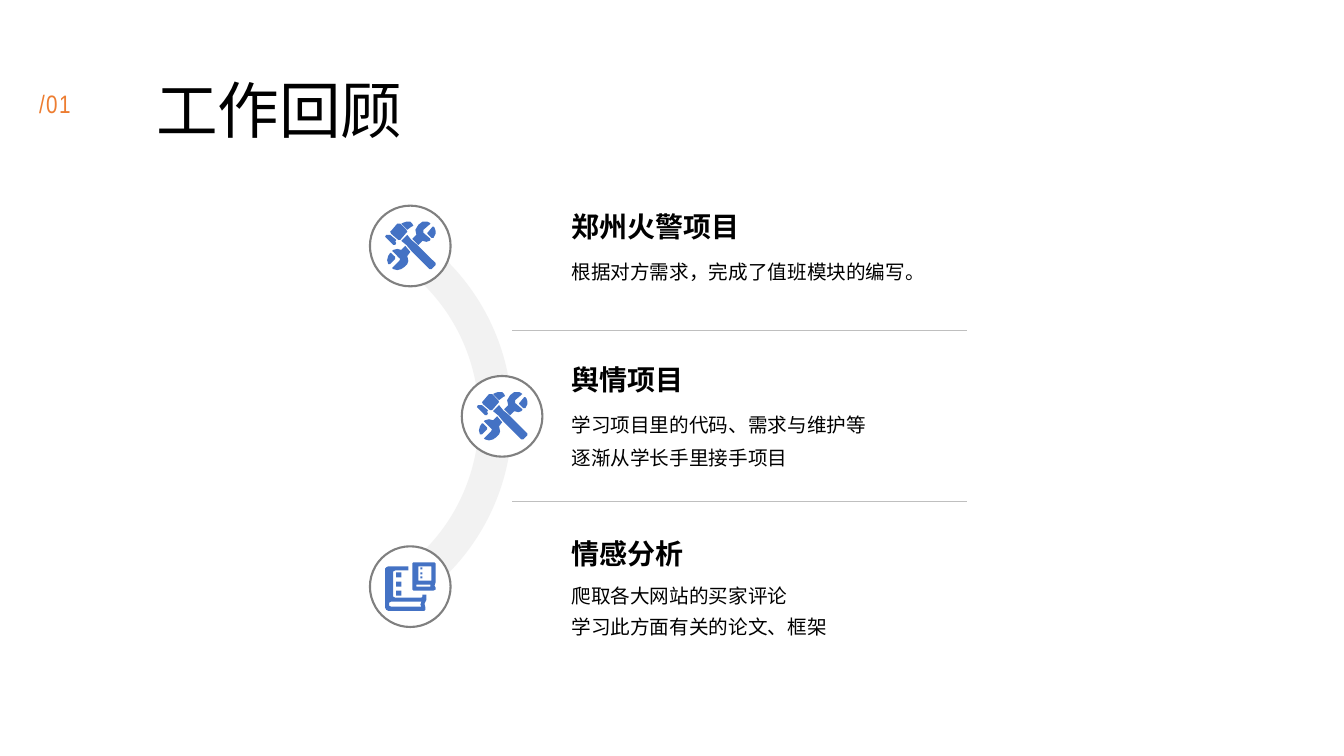
from lxml import etree
from pptx import Presentation
from pptx.dml.color import RGBColor
from pptx.enum.shapes import MSO_CONNECTOR, MSO_SHAPE
from pptx.enum.text import MSO_ANCHOR, MSO_AUTO_SIZE
from pptx.oxml.ns import qn
from pptx.util import Inches, Pt

OVAL, ARC = MSO_SHAPE.OVAL, MSO_SHAPE.BLOCK_ARC
STRAIGHT = MSO_CONNECTOR.STRAIGHT
TOP, MIDDLE = MSO_ANCHOR.TOP, MSO_ANCHOR.MIDDLE
FIT_SHAPE = MSO_AUTO_SIZE.SHAPE_TO_FIT_TEXT

W, H = Inches(40 / 3), Inches(7.5)
CJK, BODY, NARROW = "Noto Sans CJK SC", "Calibri", "Arial Narrow"
COLORS = {"text": "000000", "accent": "ED7D31", "icon": "4472C4", "arc": "F2F2F2",
          "disc": "FFFFFF", "ring": "808080", "rule": "BFBFBF"}

ROW_TOP, ROW_PITCH = 27.2, 22.53
TEXT_X, TEXT_W = 41.78, 30.38
ICON_UNIT = Inches(0.01)


def box(left, top, right, bottom):
    return [(left, top), (right, top), (right, bottom), (left, bottom)]


TOOLS = [
    [(5, 31), (6, 31), (10, 35), (10.5, 36), (10, 37), (5, 42), (3, 42), (2, 38), (3, 34)],
    [(20, 24), (25, 30), (22, 34), (23, 39), (22, 42), (19, 45), (16, 47), (12, 48),
     (8, 47), (7, 46), (8, 45), (14, 39), (15, 37), (14, 36), (8, 30), (7, 29), (8, 28),
     (12, 27), (16, 28)],
    [(22, 13), (26, 18), (32, 23), (50, 41), (50, 43), (46, 47), (44, 47), (26, 29),
     (21, 23), (16, 19)],
    [(5, 13), (11, 18), (10, 20), (11, 21), (10, 23), (8, 23), (1, 16), (0, 15), (1, 13),
     (3, 13)],
    [(48, 5), (49, 6), (50, 9), (50, 12), (48, 16), (46, 16), (42, 12), (42, 11), (47, 5)],
    [(13, 2), (15, 2), (21, 8), (22, 10), (21, 11), (15, 18), (13, 18), (6, 12), (5, 10),
     (6, 9), (12, 2)],
    [(21, 0), (25, 0), (27, 2), (28, 4), (26, 5), (22, 8), (16, 2), (18, 1)],
    [(42, 0), (44, 1), (45, 2), (38, 8), (38, 11), (45, 17), (45, 18), (44, 19), (41, 20),
     (37, 19), (33, 23), (27, 17), (31, 13), (30, 8), (33, 3), (37, 0)],
]
BOOKS = [
    [(3, 4), (23, 4), (23, 8), (10, 8), (8, 9), (8, 34), (10, 35), (36, 35), (37, 34),
     (37, 32), (41, 32), (41, 37), (40, 39), (39, 41), (40, 45), (40, 47), (39, 48),
     (3, 48), (1, 47), (0, 45), (0, 6), (1, 5)],
    [(6, 39), (4, 40), (4, 43), (6, 44), (36, 44), (35, 42), (36, 39)],
    [(28, 0), (49, 0), (50, 1), (50, 20), (49, 23), (50, 25), (50, 27), (48, 28),
     (28, 28), (27, 27), (27, 1)],
    box(31, 22, 45, 24),
    box(33, 4, 46, 18),
]
BOOKS += [box(11, top, 16, top + 5) for top in (10, 19, 28)]
BOOKS += [box(35, top, 37, top + 2) for top in (5, 10, 14)]

PROJECTS = [
    (27.53, 27.47, TOOLS, 1.4, "郑州火警项目", ["根据对方需求，完成了值班模块的编写。"]),
    (34.36, 47.73, TOOLS, 1.4, "舆情项目",
     ["学习项目里的代码、需求与维护等", "逐渐从学长手里接手项目"]),
    (27.53, 70.67, BOOKS, 1.3, "情感分析",
     ["爬取各大网站的买家评论", "学习此方面有关的论文、框架"]),
]


def color(name):
    return RGBColor.from_string(COLORS[name])


def px(share):
    return round(W * share / 100)


def py(share):
    return round(H * share / 100)


def place(x, y, w, h):
    return px(x), py(y), px(w), py(h)


def paint(s, fill, line=None):
    s.shadow.inherit = False
    s.fill.solid()
    s.fill.fore_color.rgb = color(fill)
    if line:
        s.line.color.rgb = color(line)
        s.line.width = Pt(1.5)
    else:
        s.line.fill.background()


def add_text(slide, area, lines, size, font=BODY, tint="text", bold=False,
             anchor=TOP, spacing=None, tracking=None, wrap=True):
    tf = slide.shapes.add_textbox(*place(*area)).text_frame
    tf.word_wrap = wrap
    tf.vertical_anchor = anchor
    if not wrap:
        tf.auto_size = FIT_SHAPE
    for i, line in enumerate(lines):
        p = tf.paragraphs[0] if i == 0 else tf.add_paragraph()
        p.add_run().text = line
        p.line_spacing = spacing
        p.font.size = Pt(size)
        p.font.bold = bold
        p.font.name = font
        p.font.color.rgb = color(tint)
        props = p._p.pPr.find(qn("a:defRPr"))
        etree.SubElement(props, qn("a:ea")).set("typeface", CJK)
        if tracking:
            props.set("spc", str(tracking))


def add_arc(slide):
    s = slide.shapes.add_shape(ARC, *place(5.18, 26, 32.93, 58.53))
    s.rotation = 90
    for i, value in enumerate((129.06, 193.79, 0.075)):
        s.adjustments[i] = value
    paint(s, "arc")


def add_icon(slide, x, y, outlines):
    first = outlines[0]
    builder = slide.shapes.build_freeform(*first[0], scale=ICON_UNIT)
    builder.add_line_segments(first[1:], close=True)
    for outline in outlines[1:]:
        builder.move_to(*outline[0])
        builder.add_line_segments(outline[1:], close=True)
    paint(builder.convert_to_shape(px(x), py(y)), "icon")


def add_badge(slide, x, y, outlines):
    paint(slide.shapes.add_shape(OVAL, *place(x, y, 6, 10.67)), "disc", "ring")
    add_icon(slide, x + 1.13, y + 2.13, outlines)


def add_rule(slide, y):
    s = slide.shapes.add_connector(STRAIGHT, px(38.1), py(y), px(71.93), py(y))
    s.line.color.rgb = color("rule")
    s.line.width = Pt(0.25)
    etree.SubElement(s._element.spPr, qn("a:effectLst"))


def main():
    prs = Presentation()
    prs.slide_width, prs.slide_height = W, H
    slide = prs.slides.add_slide(prs.slide_layouts[6])

    add_text(slide, (10.88, 5.33, 82.2, 19.33), ["工作回顾"], 44, font=CJK,
             anchor=MIDDLE, spacing=0.9)
    add_arc(slide)
    for row, (badge_x, text_y, icon, spacing, heading, lines) in enumerate(PROJECTS):
        row_y = ROW_TOP + row * ROW_PITCH
        add_badge(slide, badge_x, row_y, icon)
        add_text(slide, (TEXT_X, text_y + 5, TEXT_W, 9.47), lines, 14, spacing=spacing)
        add_text(slide, (TEXT_X, text_y, TEXT_W, 4.93), [heading], 20, bold=True,
                 anchor=MIDDLE)
        if row < len(PROJECTS) - 1:
            add_rule(slide, row_y + 16.53)
    add_text(slide, (2.18, 11.07, 6.45, 7.87), ["/01"], 18, font=NARROW, tint="accent",
             tracking=100, wrap=False)

    prs.save("out.pptx")


if __name__ == "__main__":
    main()
